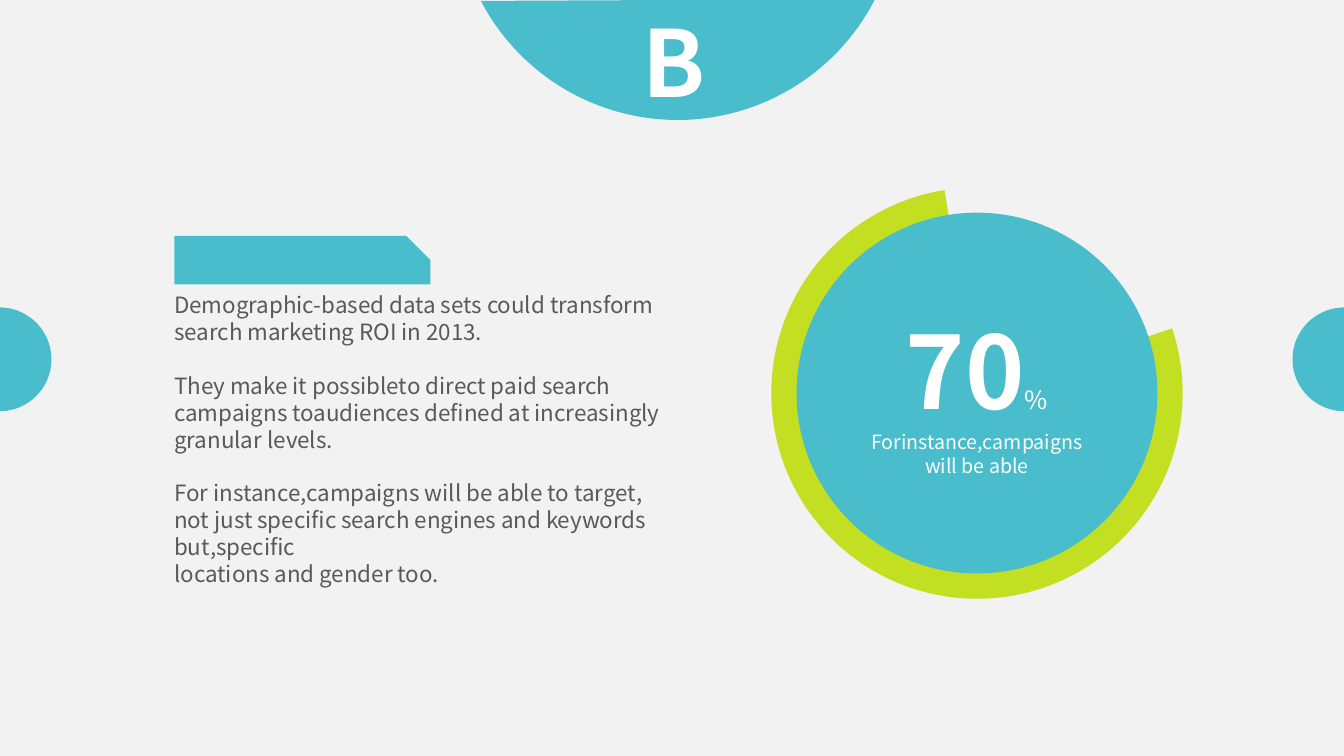
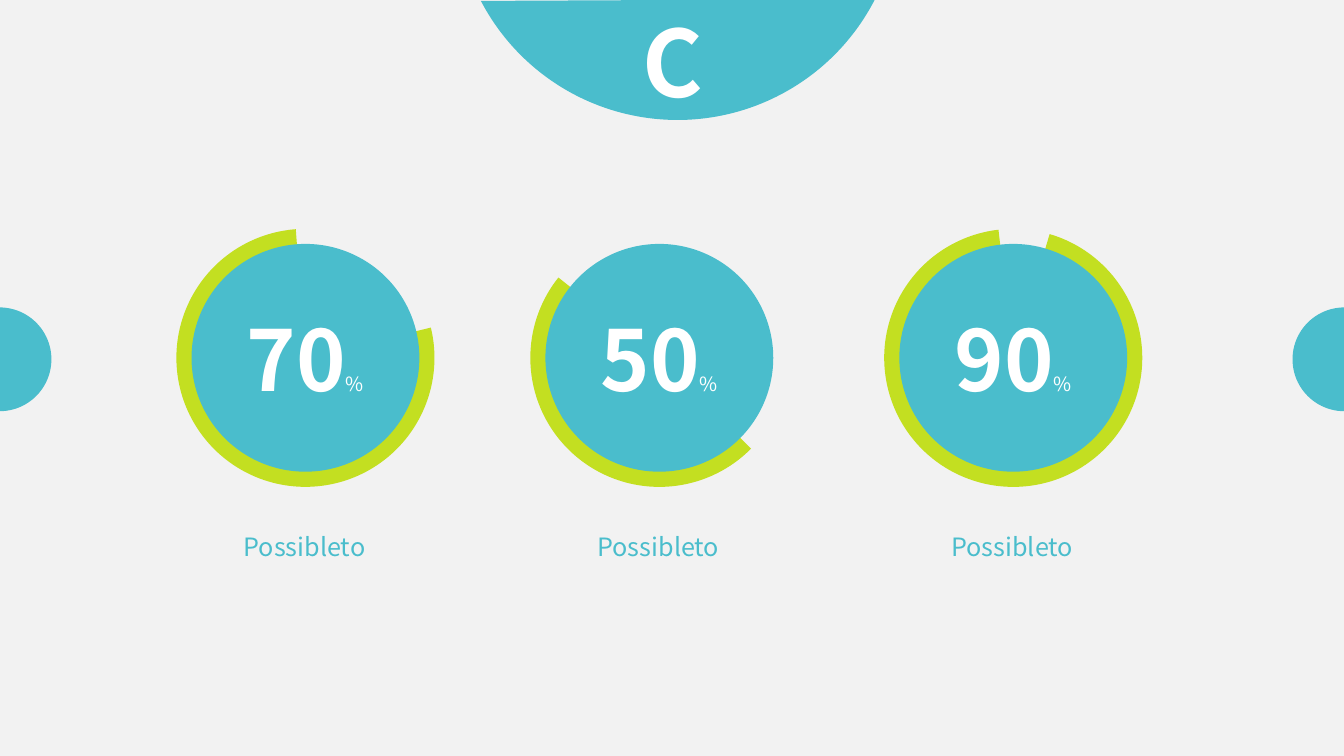
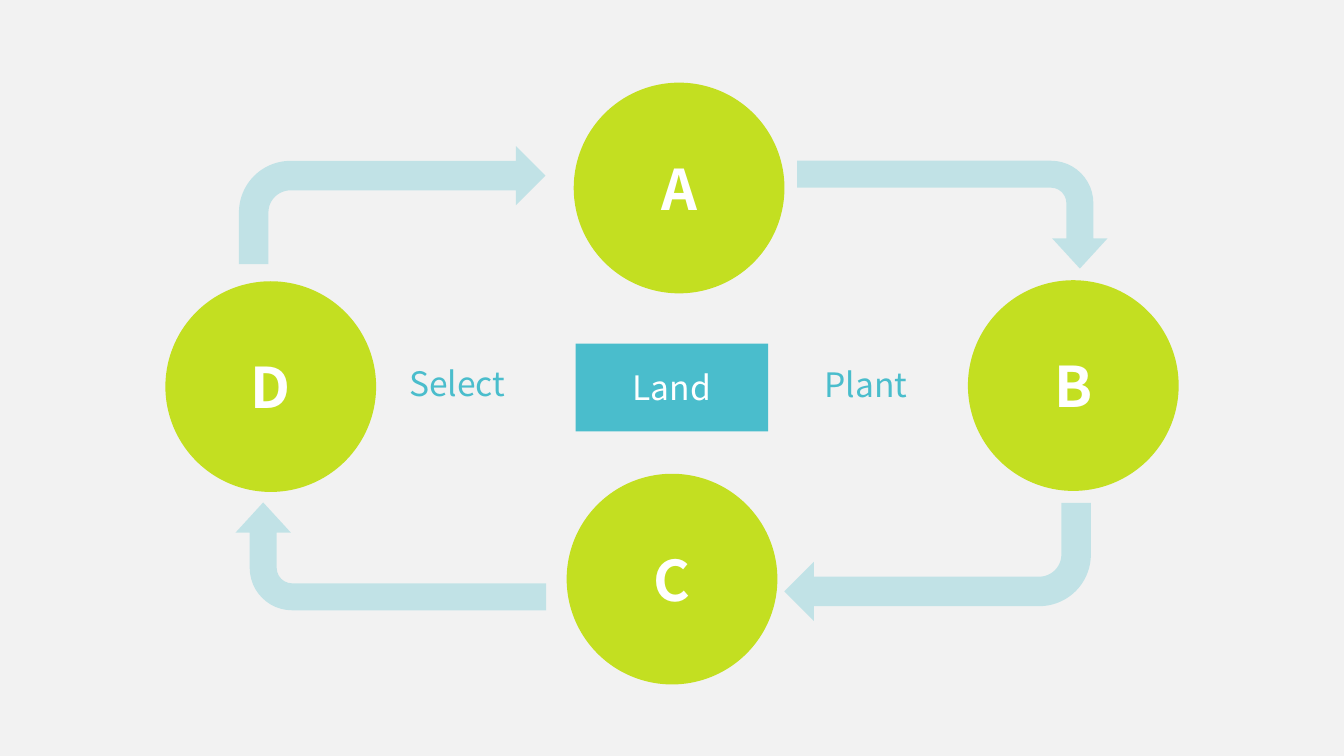
from pptx import Presentation
from pptx import util as u
from pptx.dml.color import RGBColor
from pptx.enum import shapes, text
from pptx.oxml.ns import qn
from lxml import etree

SHAPE = shapes.MSO_SHAPE
ALIGN = text.PP_ALIGN


def rgb(value):
    return RGBColor.from_string(value)


class Deck:
    TEAL, LIME, GREY, WHITE, PAPER = "4ABDCC", "C3DF21", "595959", "FFFFFF", "F2F2F2"
    FONT = "Noto Sans CJK SC"

    def __init__(self):
        self.prs = Presentation()
        self.prs.slide_width = u.Inches(13.33)
        self.prs.slide_height = u.Inches(7.5)

    def new_slide(self):
        self.s = self.prs.slides.add_slide(self.prs.slide_layouts[6])
        fill = self.s.background.fill
        fill.solid()
        fill.fore_color.rgb = rgb(self.PAPER)

    def add_text(self, tf, paragraphs, align, gaps=()):
        """Each paragraph is a list of (words, size, colour, bold) runs."""
        tf.word_wrap = True
        for i, runs in enumerate(paragraphs):
            p = tf.add_paragraph() if i else tf.paragraphs[0]
            p.alignment = align
            if gaps:
                p.space_before = u.Pt(gaps[i])
            for words, size, color, bold in runs:
                r = p.add_run()
                r.text = words
                r.font.name = self.FONT
                r.font.size = u.Pt(size)
                r.font.bold = bold
                r.font.color.rgb = rgb(color)

    def shape(self, kind, x, y, w, h, color, rot=0, flip="", adj=(), alpha=None, paragraphs=()):
        sp = self.s.shapes.add_shape(kind, *map(u.Inches, (x, y, w, h)))
        sp.shadow.inherit = False
        sp.fill.solid()
        sp.fill.fore_color.rgb = rgb(color)
        sp.line.fill.background()
        sp.rotation = rot
        for i, value in enumerate(adj):
            sp.adjustments[i] = value
        props = sp._element.spPr
        for axis in flip:
            props.find(qn("a:xfrm")).set("flip" + axis, "1")
        if alpha is not None:
            clr = props.find(qn("a:solidFill"))[0]
            etree.SubElement(clr, qn("a:alpha")).set("val", str(alpha * 1000))
        self.add_text(sp.text_frame, paragraphs, ALIGN.CENTER)

    def label(self, x, y, w, h, paragraphs, align=ALIGN.LEFT, gaps=()):
        tf = self.s.shapes.add_textbox(*map(u.Inches, (x, y, w, h))).text_frame
        self.add_text(tf, paragraphs, align, gaps)
        tf.auto_size = text.MSO_AUTO_SIZE.SHAPE_TO_FIT_TEXT

    def frame(self, letter):
        """Side tabs and the lettered header disc."""
        self.shape(SHAPE.FLOWCHART_DELAY, -0.52, 3.05, 1.03, 1.03, self.TEAL)
        self.shape(SHAPE.FLOWCHART_DELAY, 12.82, 3.05, 1.03, 1.03, self.TEAL, flip="H")
        self.shape(SHAPE.CHORD, 4.52, -3.21, 4.4, 4.4, self.TEAL, rot=297.8,
                   adj=self.angles(89.25, 214.61))
        self.label(6.27, 0, 1.29, 1.21, [[(letter, 66, self.WHITE, True)]])

    @staticmethod
    def angles(*degrees):
        # Angles are stored in 1/60000 degree, adjustments in 1/100000
        return [d * 0.6 for d in degrees]

    def gauge(self, x, y, size, band, rot, start, number, sizes, caption=None):
        """Progress ring around a disc with a percentage."""
        self.shape(SHAPE.BLOCK_ARC, x, y, size, size, self.LIME, rot=rot,
                   adj=self.angles(start, 335.02) + [0.069])
        big, small = sizes
        paragraphs = [[(number, big, self.WHITE, True), ("%", small, self.WHITE, False)]]
        if caption:
            paragraphs.append([(caption, 14, self.WHITE, False)])
        disc = size - 2 * band
        self.shape(SHAPE.OVAL, x + band, y + band, disc, disc, self.TEAL, paragraphs=paragraphs)

    def node(self, x, y, letter):
        self.shape(SHAPE.OVAL, x, y, 2.09, 2.09, self.LIME,
                   paragraphs=[[(letter, 40, self.WHITE, True)]])

    def bend(self, x, y, w, h, **options):
        self.shape(SHAPE.BENT_ARROW, x, y, w, h, self.TEAL, alpha=29, **options)


def build_single_gauge(d):
    d.new_slide()
    d.frame("B")
    d.gauge(7.65, 1.86, 4.08, 0.25, 285.9, 55.74, "70", (72, 18),
            "Forinstance,campaigns will be able")
    # Body text, with one line of space between its three blocks
    body = [
        "Demographic-based data sets could transform search marketing ROI in 2013.",
        "They make it possibleto direct paid search campaigns toaudiences defined "
        "at increasingly granular levels.",
        "For instance,campaigns will be able to target, not just specific search engines "
        "and keywords but,specific",
        "locations and gender too.",
    ]
    d.label(1.63, 2.84, 5.07, 3.6, [[(words, 16, d.GREY, False)] for words in body],
            gaps=(0, 19.3, 19.3, 0))
    d.shape(SHAPE.SNIP_1_RECTANGLE, 1.73, 2.34, 2.54, 0.48, d.TEAL, adj=[0.5])


def build_three_gauges(d):
    d.new_slide()
    d.frame("C")
    gauges = [("70", 290.7, 55.74), ("50", 243.5, 161.2), ("90", 288.4, 357.96)]
    for i, (number, rot, start) in enumerate(gauges):
        x = 1.75 + 3.51 * i
        d.gauge(x, 2.27, 2.56, 0.15, rot, start, number, (60, 14))
        d.label(x + 0.05, 5.22, 2.44, 0.4, [[("Possibleto", 18, d.TEAL, False)]], ALIGN.CENTER)


def build_cycle(d):
    d.new_slide()
    # Lettered stations
    for x, y, letter in [(5.69, 0.82, "A"), (9.6, 2.78, "B"), (5.62, 4.7, "C"), (1.64, 2.79, "D")]:
        d.node(x, y, letter)
    # Arrows between stations
    upright = dict(rot=90, adj=(0.25, 0.257, 0.28, 0.393))
    d.bend(2.37, 1.45, 3.04, 1.17)
    d.bend(8.91, 0.59, 1.07, 3.08, **upright)
    d.bend(7.78, 4.99, 3.04, 1.17, flip="HV")
    d.bend(3.34, 3.98, 1.07, 3.08, flip="HV", **upright)
    # Centre row
    d.shape(SHAPE.RECTANGLE, 5.71, 3.41, 1.91, 0.87, d.TEAL,
            paragraphs=[[("Land", 24, d.WHITE, False)]])
    for x, y, words in [(3.96, 3.55, "Select"), (8.08, 3.56, "Plant")]:
        d.label(x, y, 1.2, 0.5, [[(words, 24, d.TEAL, False)]])


def main():
    d = Deck()
    build_single_gauge(d)
    build_three_gauges(d)
    build_cycle(d)
    d.prs.save("out.pptx")


if __name__ == "__main__":
    main()
